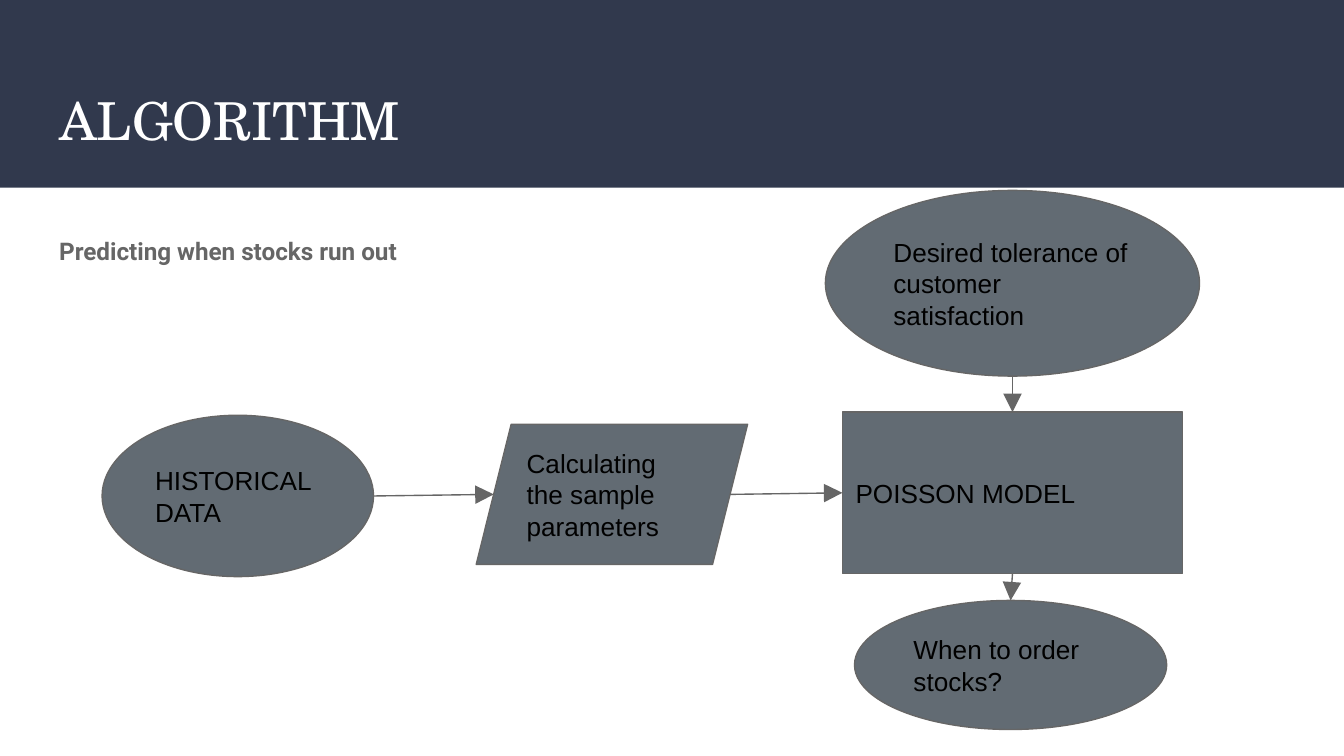
"""Build the stock prediction algorithm slide."""
from dataclasses import dataclass

from lxml import etree
from pptx import Presentation
from pptx.dml.color import RGBColor
from pptx.enum import shapes, text
from pptx.oxml import ns
from pptx.util import Cm, Pt


@dataclass(frozen=True)
class Theme:
    navy: str = "31394D"
    slate: str = "626B73"
    grey: str = "666666"
    white: str = "FFFFFF"
    black: str = "000000"
    title_size: float = 28
    subtitle_size: float = 13
    step_size: float = 14
    line_width: float = 0.75


theme = Theme()


def write(holder, wording, font, size, color, bold=False,
          anchor=text.MSO_ANCHOR.MIDDLE, spacing=1.0, after=0):
    frame = holder.text_frame
    frame.word_wrap = True
    frame.auto_size = text.MSO_AUTO_SIZE.NONE
    frame.vertical_anchor = anchor
    frame.margin_left = frame.margin_right = Cm(0.25)
    frame.margin_top = frame.margin_bottom = Cm(0.25)
    paragraph = frame.paragraphs[0]
    paragraph.alignment = text.PP_ALIGN.LEFT
    paragraph.line_spacing = spacing
    paragraph.space_before = Pt(0)
    paragraph.space_after = Pt(after)
    run = paragraph.add_run()
    run.text = wording
    run.font.name = font
    run.font.size = Pt(size)
    run.font.bold = bold
    run.font.color.rgb = RGBColor.from_string(color)


deck = Presentation()
deck.slide_width, deck.slide_height = Cm(25.4), Cm(14.29)
slide = deck.slides.add_slide(deck.slide_layouts[5])

band = slide.shapes.add_shape(shapes.MSO_SHAPE.RECTANGLE, 0, 0, deck.slide_width, Cm(3.55))
band.shadow.inherit = False
band.fill.solid()
band.fill.fore_color.rgb = RGBColor.from_string(theme.navy)
band.line.fill.background()

title = slide.shapes.title
title.left, title.top, title.width, title.height = Cm(0.87), Cm(1.4), Cm(23.67), Cm(1.73)
write(title, "ALGORITHM", font="TeX Gyre Schola", size=theme.title_size, color=theme.white)
title.element.addprevious(band.element)

subtitle = slide.shapes.add_textbox(Cm(0.87), Cm(4.14), Cm(11.58), Cm(1.8))
write(subtitle, "Predicting when stocks run out", font="Roboto", size=theme.subtitle_size,
      color=theme.grey, bold=True, anchor=text.MSO_ANCHOR.TOP, spacing=1.15, after=16)

ellipse = shapes.MSO_SHAPE.OVAL
steps = {}
for key, kind, wording, left, top, width, height in (
    ("history", ellipse, "HISTORICAL DATA", 1.93, 7.85, 5.13, 3.05),
    ("tolerance", ellipse, "Desired tolerance of customer satisfaction", 15.6, 3.6, 7.07, 3.51),
    ("model", shapes.MSO_SHAPE.RECTANGLE, "POISSON MODEL", 15.92, 7.79, 6.43, 3.05),
    ("order", ellipse, "When to order stocks?", 16.15, 11.35, 5.9, 2.44),
    ("parameters", shapes.MSO_SHAPE.PARALLELOGRAM, "Calculating the sample parameters",
     9, 8.02, 5.13, 2.65),
):
    step = slide.shapes.add_shape(kind, Cm(left), Cm(top), Cm(width), Cm(height))
    step.shadow.inherit = False
    step.fill.solid()
    step.fill.fore_color.rgb = RGBColor.from_string(theme.slate)
    step.line.color.rgb = RGBColor.from_string(theme.grey)
    step.line.width = Pt(theme.line_width)
    write(step, wording, font="Arial", size=theme.step_size, color=theme.black)
    steps[key] = step

history, tolerance, model, order, parameters = steps.values()
slant = parameters.height // 8
history_middle = history.top + history.height // 2
parameters_middle = parameters.top + parameters.height // 2
model_middle = model.top + model.height // 2
model_center = model.left + model.width // 2

for start, end, start_side, end_side in (
    ((history.left + history.width, history_middle),
     (parameters.left + slant, parameters_middle), None, None),
    ((parameters.left + parameters.width - slant, parameters_middle),
     (model.left, model_middle), None, 1),
    ((tolerance.left + tolerance.width // 2, tolerance.top + tolerance.height),
     (model_center, model.top), None, 0),
    ((model_center, model.top + model.height),
     (order.left + order.width // 2, order.top), 2, None),
):
    arrow = slide.shapes.add_connector(shapes.MSO_CONNECTOR.STRAIGHT, *start, *end)
    if start_side is not None:
        arrow.begin_connect(model, start_side)
    if end_side is not None:
        arrow.end_connect(model, end_side)
    arrow.line.color.rgb = RGBColor.from_string(theme.grey)
    arrow.line.width = Pt(theme.line_width)
    etree.SubElement(arrow.line.get_or_change_to_ln() if hasattr(arrow.line, "get_or_change_to_ln")
                     else arrow.get_or_add_ln(), ns.qn("a:tailEnd"),
                     type="triangle", w="lg", len="lg")
    etree.SubElement(arrow.element.spPr, ns.qn("a:effectLst"))

deck.save("out.pptx")
